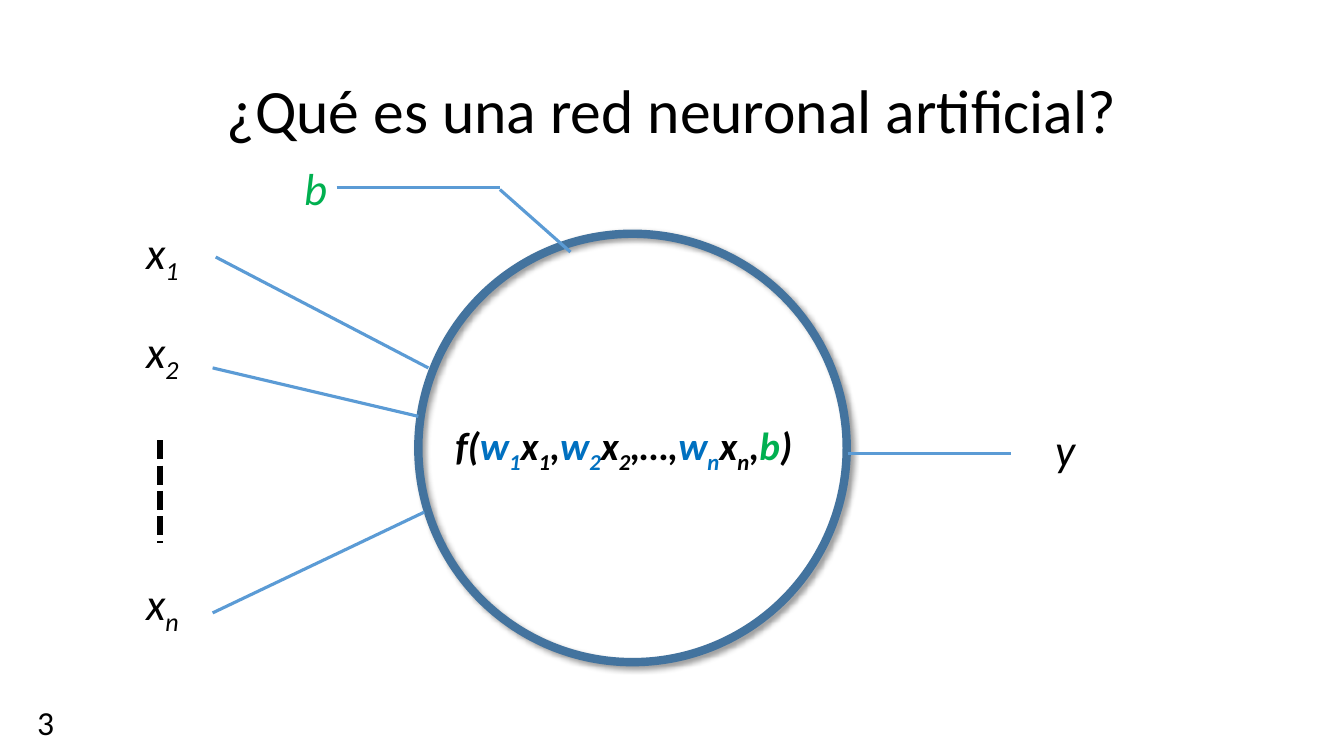
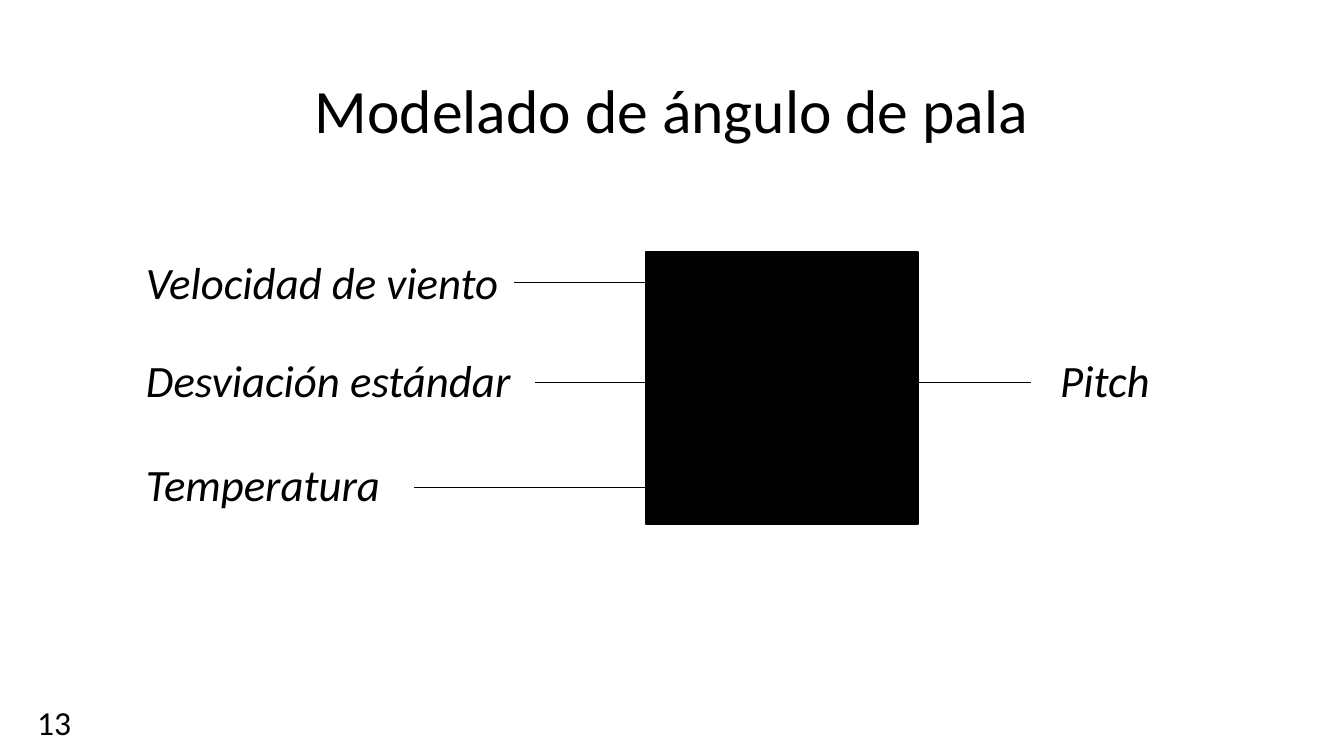
from dataclasses import dataclass

from lxml.etree import SubElement as Sub
from pptx import Presentation
from pptx.dml.color import RGBColor as RGB
from pptx.enum.dml import MSO_LINE as Dash
from pptx.enum.shapes import MSO_CONNECTOR as Conn, MSO_SHAPE as Geo
from pptx.enum.text import MSO_ANCHOR as Anchor, MSO_AUTO_SIZE as Fit, PP_ALIGN as Align
from pptx.oxml.ns import qn
from pptx.slide import Slide
from pptx.util import Pt

BLACK = RGB(0x00, 0x00, 0x00)
BLUE = RGB(0x00, 0x70, 0xC0)
GREEN = RGB(0x00, 0xB0, 0x50)
SKY = RGB(0x5B, 0x9B, 0xD5)
STEEL = RGB(0x43, 0x73, 0x9E)

FACE = "Calibri"
LEFT = 97.2  # left edge of the input labels


@dataclass(frozen=True)
class Bit:
    text: str
    color: RGB = BLACK
    sub: bool = False


@dataclass(frozen=True)
class Label:
    bits: list[Bit]
    x: float
    y: float
    width: float = 61.2
    height: float = 46
    size: float = 32
    bold: bool = False
    italic: bool = True


@dataclass(frozen=True)
class Line:
    x1: float
    y1: float
    x2: float
    y2: float
    color: RGB = SKY
    width: float = 2.25
    dash: Dash | None = None


def add_label(slide: Slide, label: Label) -> None:
    box = slide.shapes.add_textbox(
        Pt(label.x), Pt(label.y), Pt(label.width), Pt(label.height))
    frame = box.text_frame
    frame.word_wrap = True
    frame.auto_size = Fit.SHAPE_TO_FIT_TEXT
    para = frame.paragraphs[0]
    font = para.font
    font.name, font.size = FACE, Pt(label.size)
    font.bold, font.italic = label.bold, label.italic
    for bit in label.bits:
        run = para.add_run()
        run.text = bit.text
        run.font.color.rgb = bit.color
        if bit.sub:
            run._r.get_or_add_rPr().set("baseline", "-25000")


def add_line(slide: Slide, line: Line) -> None:
    link = slide.shapes.add_connector(
        Conn.STRAIGHT, Pt(line.x1), Pt(line.y1), Pt(line.x2), Pt(line.y2))
    link.line.color.rgb = line.color
    link.line.width = Pt(line.width)
    if line.dash is not None:
        link.line.dash_style = line.dash
    Sub(link._element.spPr, qn("a:effectLst"))


def add_parts(slide: Slide, labels: list[Label], lines: list[Line]) -> None:
    for label in labels:
        add_label(slide, label)
    for line in lines:
        add_line(slide, line)


def add_slide(deck: Presentation, title: str, number: int) -> Slide:
    """Start a slide with the shared title and page number."""
    slide = deck.slides.add_slide(deck.slide_layouts[5])
    head = slide.shapes.title
    head.left, head.top, head.width, head.height = Pt(66), Pt(28.8), Pt(828), Pt(104.4)
    frame = head.text_frame
    frame.text = title
    frame.auto_size = Fit.NONE
    frame.vertical_anchor = Anchor.MIDDLE
    para = frame.paragraphs[0]
    para.alignment = Align.CENTER
    para.line_spacing = 0.9
    para.font.name, para.font.size = FACE, Pt(44)
    para.font.color.rgb = BLACK
    add_label(slide, Label([Bit(str(number))], 19.4, 498.2, 46.8, 36, 24, italic=False))
    return slide


def add_ring(slide: Slide) -> None:
    """Draw the neuron body with its soft shadow."""
    ring = slide.shapes.add_shape(Geo.OVAL, Pt(298.8), Pt(167), Pt(306), Pt(306))
    ring.fill.background()
    ring.line.color.rgb = STEEL
    ring.line.width = Pt(6)
    ring.shadow.inherit = False
    effects = ring._element.spPr.find(qn("a:effectLst"))
    shade = Sub(effects, qn("a:outerShdw"), blurRad=str(Pt(4)), dist=str(Pt(3)),
                dir="2700000", algn="tl", rotWithShape="0")
    tint = Sub(shade, qn("a:srgbClr"), val=str(BLACK))
    Sub(tint, qn("a:alpha"), val="40000")


def term(index: str) -> list[Bit]:
    """Give one weighted input, such as w1x1."""
    return [Bit("w", BLUE), Bit(index, BLUE, True), Bit("x"), Bit(index, sub=True)]


def add_neuron(deck: Presentation) -> None:
    slide = add_slide(deck, "¿Qué es una red neuronal artificial?", 3)
    add_ring(slide)
    inputs = [("1", 157), ("2", 227.5), ("n", 407.5)]
    labels = [Label([Bit("x"), Bit(index, sub=True)], LEFT, y) for index, y in inputs]
    formula = [Bit("f("), *term("1"), Bit(","), *term("2"), Bit(",…,"),
               *term("n"), Bit(","), Bit("b", GREEN), Bit(")")]
    labels += [
        Label(formula, 318.2, 297.4, 278.6, 41, 28, bold=True),
        Label([Bit("b", GREEN)], 210.2, 110.9),
        Label([Bit("y")], 746.6, 297.4),
    ]
    lines = [
        Line(114.5, 314.6, 114.5, 388.1, BLACK, 4.5, Dash.SQUARE_DOT),
        # Bias
        Line(240.5, 133.9, 357.1, 133.9),
        Line(357.1, 135.4, 407.5, 180),
        # Inputs
        Line(154.1, 183.6, 306, 262.8),
        Line(151.9, 262.8, 298.8, 297.4),
        Line(151.9, 437.8, 303.1, 365.8),
        # Output
        Line(605.5, 324, 722.2, 324),
    ]
    add_parts(slide, labels, lines)


def add_model(deck: Presentation) -> None:
    slide = add_slide(deck, "Modelado de ángulo de pala", 13)
    # Black box
    left, side = 461.5, 194.4
    box = slide.shapes.add_shape(Geo.RECTANGLE, Pt(left), Pt(180), Pt(side), Pt(side))
    box.fill.solid()
    box.fill.fore_color.rgb = BLACK
    box.line.color.rgb = BLACK
    box.line.width = Pt(1)
    box.shadow.inherit = False
    # Inputs: text, label top, line start, line height
    inputs = [
        ("Velocidad de viento", 178.6, 367.2, 201.6),
        ("Desviación estándar", 248.4, 382.3, 272.9),
        ("Temperatura", 322.6, 295.9, 347.8),
    ]
    labels = [Label([Bit(text)], LEFT, top, 313) for text, top, _, _ in inputs]
    lines = [Line(start, y, left, y, BLACK, 0.5) for _, _, start, y in inputs]
    # Output
    labels.append(Label([Bit("Pitch")], 750.2, 248.4, 152))
    lines.append(Line(left + side, 272.9, 736.6, 272.9, BLACK, 0.5))
    add_parts(slide, labels, lines)


def main() -> None:
    deck = Presentation()
    deck.slide_width, deck.slide_height = Pt(960), Pt(540)
    add_neuron(deck)
    add_model(deck)
    deck.save("out.pptx")


if __name__ == "__main__":
    main()
